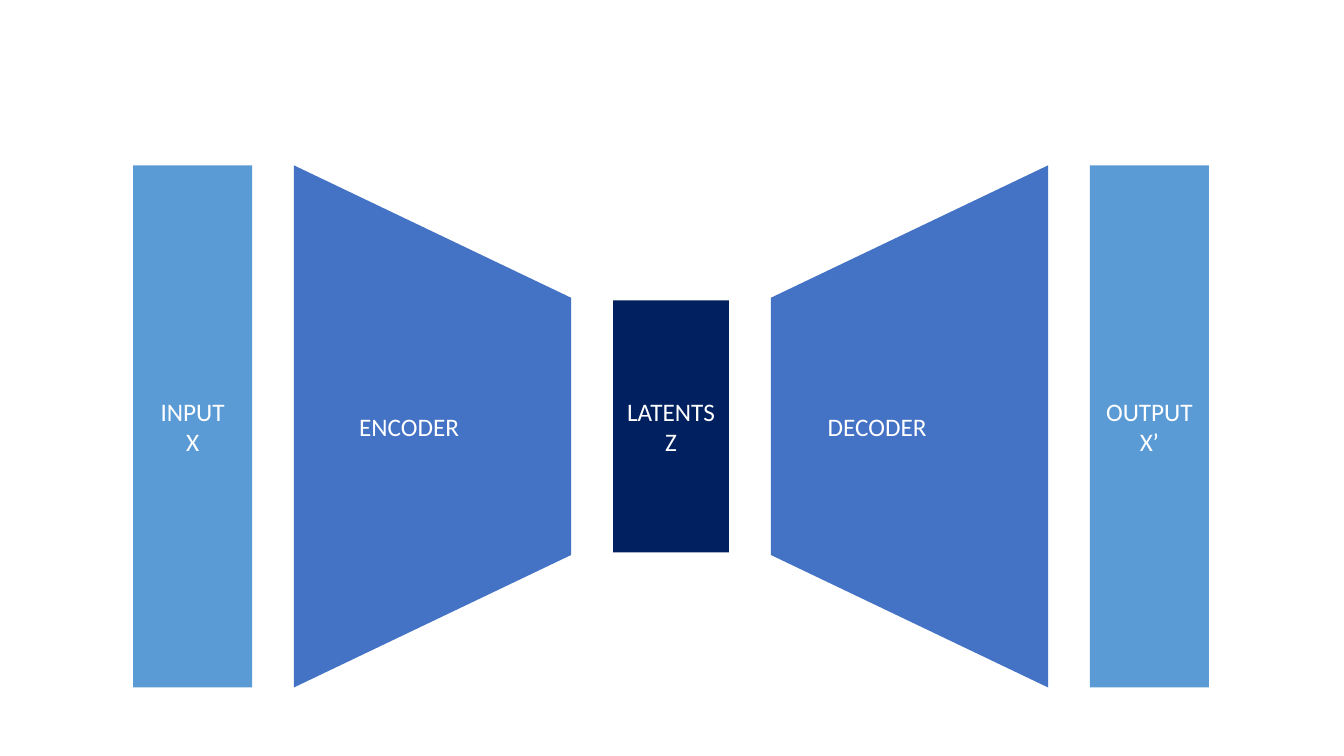
"""Build an autoencoder diagram: input, encoder, latents, decoder, output."""
import pptx
import pptx.util
import pptx.dml.color
import pptx.enum.shapes
import pptx.enum.text

Inches = pptx.util.Inches
RGBColor = pptx.dml.color.RGBColor
SHAPES = pptx.enum.shapes.MSO_SHAPE

DATA_BLUE = RGBColor(0x5B, 0x9B, 0xD5)
NETWORK_BLUE = RGBColor(0x44, 0x72, 0xC4)
LATENT_NAVY = RGBColor(0x00, 0x20, 0x60)
WHITE = RGBColor(0xFF, 0xFF, 0xFF)

ENCODER_TURN = {"rotation": 90, "vert": "vert270"}
DECODER_TURN = {"rotation": 270, "vert": "eaVert", "flip": True}
STAGES = [
    ("INPUT\nX", 1.18, 5.18, DATA_BLUE, None),
    ("ENCODER", 2.75, 5.18, NETWORK_BLUE, ENCODER_TURN),
    ("LATENTS\nZ", 1.15, 2.5, LATENT_NAVY, None),
    ("DECODER", 2.75, 5.18, NETWORK_BLUE, DECODER_TURN),
    ("OUTPUT\nX’", 1.18, 5.18, DATA_BLUE, None),
]
START, MIDLINE, GAP = 1.32, 4.23, 0.415
TAPER = 0.478


def add_stage(slide, label, center, width, height, color, turn):
    """Add one stage centred on the midline, turning trapezoids sideways."""
    if turn:
        width, height = height, width
    stage = slide.shapes.add_shape(
        SHAPES.TRAPEZOID if turn else SHAPES.RECTANGLE,
        Inches(center - width / 2), Inches(MIDLINE - height / 2),
        Inches(width), Inches(height))
    stage.shadow.inherit = False
    stage.fill.solid()
    stage.fill.fore_color.rgb = color
    stage.line.fill.background()

    frame = stage.text_frame
    frame.text = label
    frame.word_wrap = True
    frame.vertical_anchor = pptx.enum.text.MSO_ANCHOR.MIDDLE
    for paragraph in frame.paragraphs:
        paragraph.alignment = pptx.enum.text.PP_ALIGN.CENTER
        for run in paragraph.runs:
            run.font.name = "Calibri"
            run.font.size = pptx.util.Pt(18)
            run.font.color.rgb = WHITE

    if turn:
        stage.adjustments[0] = TAPER
        stage.rotation = turn["rotation"]
        stage.element.txBody.bodyPr.set("vert", turn["vert"])
        if turn.get("flip"):
            stage.element.spPr.xfrm.set("flipH", "1")


deck = pptx.Presentation()
deck.slide_width, deck.slide_height = Inches(13.33), Inches(7.5)
autoencoder = deck.slides.add_slide(deck.slide_layouts[6])

left = START
for label, width, height, color, turn in STAGES:
    add_stage(autoencoder, label, left + width / 2, width, height, color, turn)
    left += width + GAP

deck.save("out.pptx")
